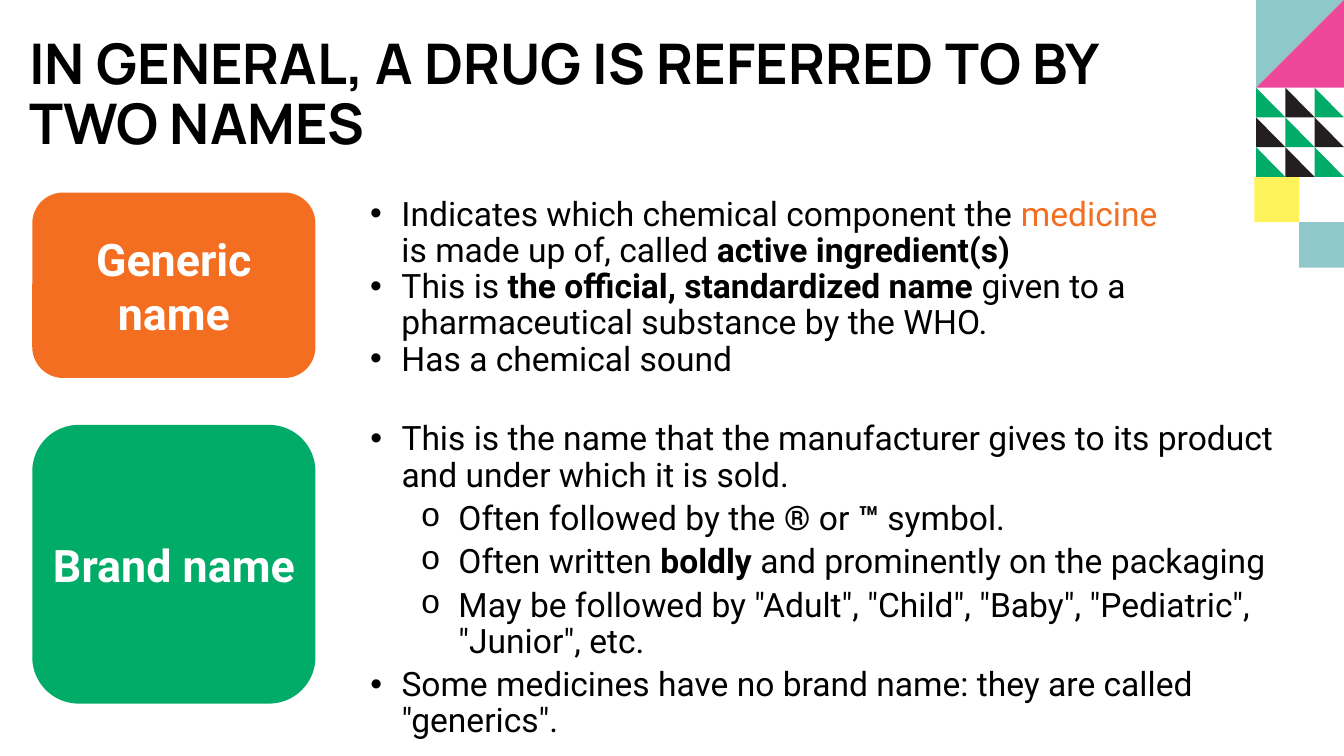
from lxml.etree import SubElement
from pptx import Presentation
from pptx.dml.color import RGBColor
from pptx.enum.shapes import MSO_SHAPE
from pptx.enum.text import MSO_ANCHOR, PP_ALIGN
from pptx.oxml.ns import qn
from pptx.util import Inches, Pt

WIDTH, HEIGHT = 26.67, 15
BLACK = RGBColor(0x00, 0x00, 0x00)
WHITE = RGBColor(0xFF, 0xFF, 0xFF)
ORANGE = RGBColor(0xF3, 0x6E, 0x20)
GREEN = RGBColor(0x00, 0xAC, 0x68)
CHARCOAL = RGBColor(0x23, 0x1F, 0x20)
TEAL = RGBColor(0x8E, 0xC8, 0xC8)
PINK = RGBColor(0xEE, 0x47, 0x99)
YELLOW = RGBColor(0xFF, 0xF3, 0x5C)

PLAIN, BOLD, ACCENT = "plain", "bold", "accent"
BULLETS = [("•", "Arial", 1.62, -0.62), ("o", "Courier New", 2.75, -0.75)]

GENERIC_POINTS = [
    (0, [[("Indicates which chemical component the ", PLAIN), ("medicine", ACCENT)],
         [("is made up of, called ", PLAIN), ("active ingredient(s)", BOLD)]]),
    (0, [[("This is ", PLAIN), ("the official, standardized name ", BOLD),
          ("given to a pharmaceutical substance by the WHO.", PLAIN)]]),
    (0, [[("Has a chemical sound", PLAIN)]]),
]
BRAND_POINTS = [
    (0, [[("This is the name that the manufacturer gives to its product "
           "and under which it is sold.", PLAIN)]]),
    (1, [[("Often followed by the ", PLAIN), ("® ", BOLD), ("or", PLAIN),
          (" ™ ", BOLD), ("symbol.", PLAIN)]]),
    (1, [[("Often written ", PLAIN), ("boldly ", BOLD),
          ("and prominently on the packaging", PLAIN)]]),
    (1, [[('May be followed by "Adult", "Child", "Baby", "Pediatric", "Junior", etc.', PLAIN)]]),
    (0, [[('Some medicines have no brand name: they are called "generics".', PLAIN)]]),
]


def across(share):
    return Inches(WIDTH * share / 100)


def down(share):
    return Inches(HEIGHT * share / 100)


def area(left, top, width, height):
    return across(left), down(top), across(width), down(height)


def style_font(font, family, size, colour, bold=False):
    font.name = family
    font.size = Pt(size)
    font.color.rgb = colour
    font.bold = bold


def paint(shape, colour):
    shape.shadow.inherit = False
    shape.fill.solid()
    shape.fill.fore_color.rgb = colour
    shape.line.fill.background()


def add_title(slide, text):
    title = slide.shapes.title
    title.left, title.top, title.width, title.height = area(1.8, 4.13, 85.86, 16.93)
    frame = title.text_frame
    frame.text = text
    frame.word_wrap = True
    frame.vertical_anchor = MSO_ANCHOR.BOTTOM
    heading = frame.paragraphs[0]
    heading.alignment = PP_ALIGN.LEFT
    heading.line_spacing = 0.9
    style_font(heading.runs[0].font, "Manrope", 80, BLACK, True)


def add_name_card(slide, text, top, height, colour):
    card = slide.shapes.add_shape(MSO_SHAPE.ROUNDED_RECTANGLE, *area(2.4, top, 21.07, height))
    paint(card, colour)
    frame = card.text_frame
    frame.text = text
    frame.word_wrap = True
    frame.vertical_anchor = MSO_ANCHOR.MIDDLE
    label = frame.paragraphs[0]
    label.alignment = PP_ALIGN.CENTER
    style_font(label.runs[0].font, "Roboto", 64, WHITE, True)


def set_bullet(paragraph, level):
    symbol, family, margin, indent = BULLETS[level]
    paragraph.level = level
    properties = paragraph._p.get_or_add_pPr()
    properties.set("marL", str(Inches(margin)))
    properties.set("indent", str(Inches(indent)))
    SubElement(properties, qn("a:buFont"), typeface=family)
    SubElement(properties, qn("a:buChar"), char=symbol)


def add_points(slide, points, place, gap):
    frame = slide.shapes.add_textbox(*place).text_frame
    frame.word_wrap = True
    for index, (level, lines) in enumerate(points):
        point = frame.add_paragraph() if index else frame.paragraphs[0]
        set_bullet(point, level)
        point.line_spacing = 0.9
        point.space_before = Pt(gap if index else 0)
        for number, line in enumerate(lines):
            if number:
                point.add_line_break()
            for text, emphasis in line:
                run = point.add_run()
                run.text = text
                colour = ORANGE if emphasis == ACCENT else BLACK
                style_font(run.font, "Roboto", 48, colour, emphasis == BOLD)


def add_triangle(slide, corners, colour):
    start, *others = [(across(x), down(y)) for x, y in corners]
    builder = slide.shapes.build_freeform(*start)
    builder.add_line_segments(others, close=True)
    paint(builder.convert_to_shape(), colour)


def add_tile(slide, left, top, colour):
    tile = slide.shapes.add_shape(MSO_SHAPE.RECTANGLE, *area(left, top, 3.33, 6))
    paint(tile, colour)


def add_corner_pattern(slide):
    left, right, top, bottom = 93.46, 100, 11.6, 23.4
    add_tile(slide, 93.34, bottom, YELLOW)
    add_tile(slide, 96.67, bottom + 6, TEAL)
    step_x, step_y = (right - left) / 3, (bottom - top) / 3
    for row in range(3):
        for column in range(3):
            x, y = left + column * step_x, top + row * step_y
            corners = [(x, y), (x, y + step_y), (x + step_x, y + step_y)]
            add_triangle(slide, corners, CHARCOAL if (row + column) % 2 else GREEN)
    add_triangle(slide, [(left, 0), (left, top), (right, 0)], TEAL)
    add_triangle(slide, [(left, top), (right, top), (right, 0)], PINK)


def main():
    deck = Presentation()
    deck.slide_width, deck.slide_height = Inches(WIDTH), Inches(HEIGHT)
    slide = deck.slides.add_slide(deck.slide_layouts[5])
    add_corner_pattern(slide)
    add_title(slide, "IN GENERAL, A DRUG IS REFERRED TO BY TWO NAMES")
    add_points(slide, BRAND_POINTS, area(23.43, 55.47, 71.88, 44.5), 10)
    add_name_card(slide, "Generic name", 25.47, 24.53, ORANGE)
    add_name_card(slide, "Brand name", 56.2, 36.87, GREEN)
    add_points(slide, GENERIC_POINTS, area(23.43, 25.73, 70.6, 24.93), 0)
    deck.save("out.pptx")


if __name__ == "__main__":
    main()
